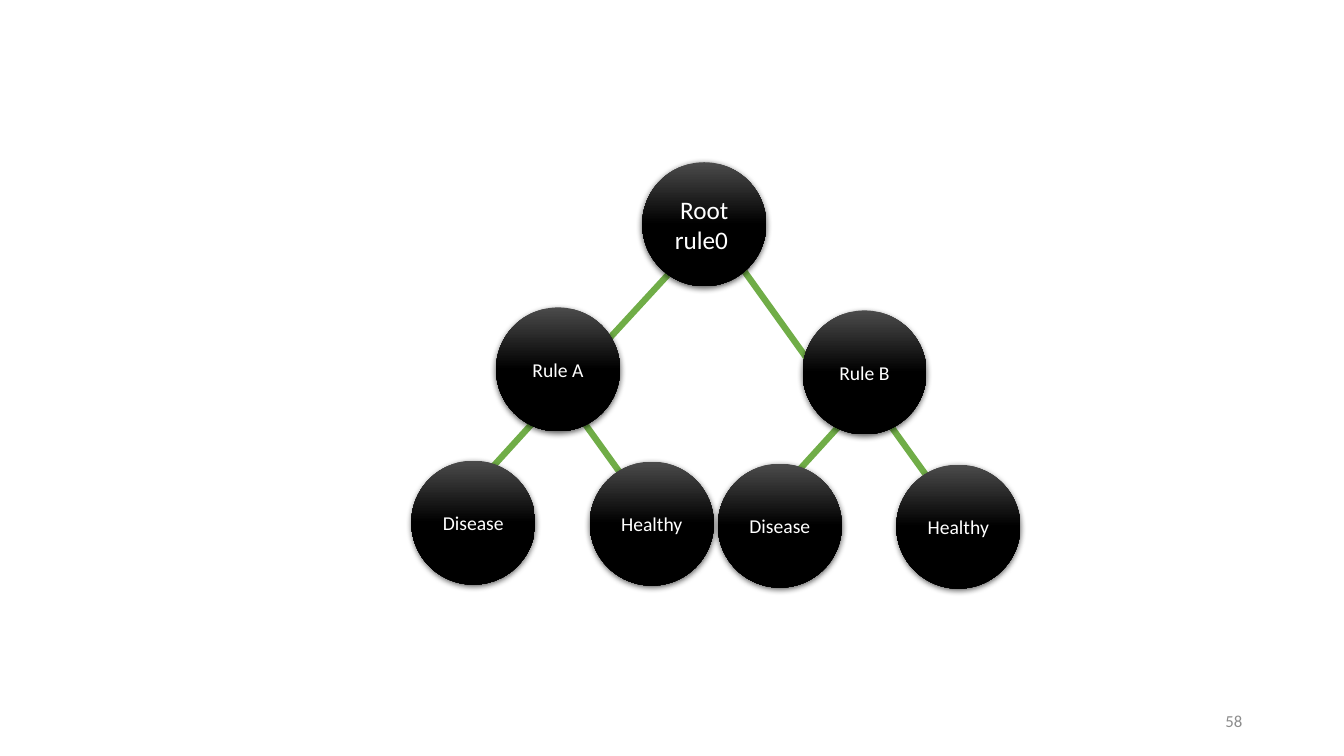
from dataclasses import dataclass

from lxml import etree
from pptx import Presentation
from pptx.dml.color import RGBColor
from pptx.enum import shapes, text
from pptx.oxml import ns
from pptx.util import Inches, Pt


@dataclass(frozen=True)
class Theme:
    font: str = "Calibri"
    node_top: RGBColor = RGBColor(0x4B, 0x4B, 0x4B)
    node: RGBColor = RGBColor(0, 0, 0)
    node_text: RGBColor = RGBColor(0xFF, 0xFF, 0xFF)
    branch: RGBColor = RGBColor(0x70, 0xAD, 0x47)
    number: RGBColor = RGBColor(0x8C, 0x8C, 0x8C)
    root_size: Pt = Pt(18)
    node_size: Pt = Pt(14)
    number_size: Pt = Pt(12)
    branch_width: Pt = Pt(4.5)


THEME = Theme()
DIAMETER = 1.23
ROOT = ("Root rule0 ", (6.37, 1.61))
RULES = [("Rule A", (4.92, 3.05)), ("Rule B", (7.96, 3.08))]
LEAVES = [("Healthy", (0.93, 1.53)), ("Disease", (-0.84, 1.52))]
ROOT_BRANCHES = [((0.84, 0.84), (1.65, 1.97)), ((0.61, 0.73), (-0.32, 1.74))]
RULE_BRANCHES = [((0.56, 0.93), (-0.36, 1.94)), ((0.64, 0.82), (1.46, 1.96))]
SLIDE_NUMBER = "58"


def shift(origin, offset):
    return origin[0] + offset[0], origin[1] + offset[1]


def write(shape, words, size, color, alignment):
    frame = shape.text_frame
    frame.word_wrap = True
    frame.vertical_anchor = text.MSO_ANCHOR.MIDDLE
    paragraph = frame.paragraphs[0]
    paragraph.text = words
    paragraph.alignment = alignment
    paragraph.font.name = THEME.font
    paragraph.font.size = size
    paragraph.font.color.rgb = color


def add_branches(slide, origin, branches):
    for start, end in branches:
        points = shift(origin, start) + shift(origin, end)
        branch = slide.shapes.add_connector(
            shapes.MSO_CONNECTOR.STRAIGHT, *map(Inches, points))
        branch.line.color.rgb = THEME.branch
        branch.line.width = THEME.branch_width
        etree.SubElement(branch._element.spPr, ns.qn("a:effectLst"))


def add_shadow(shape):
    shape.shadow.inherit = False
    effects = shape._element.spPr.find(ns.qn("a:effectLst"))
    shadow = etree.SubElement(
        effects, ns.qn("a:outerShdw"), blurRad=str(Pt(4.5)), dist=str(Pt(1.5)),
        dir="5400000", algn="ctr", rotWithShape="0")
    color = etree.SubElement(shadow, ns.qn("a:srgbClr"), val=str(THEME.node))
    etree.SubElement(color, ns.qn("a:alpha"), val="63000")


def add_node(slide, words, origin, size):
    node = slide.shapes.add_shape(
        shapes.MSO_SHAPE.OVAL, *map(Inches, (*origin, DIAMETER, DIAMETER)))
    node.fill.gradient()
    node.fill.gradient_angle = 270
    stops = zip(node.fill.gradient_stops, (0, 0.5), (THEME.node_top, THEME.node))
    for stop, position, color in stops:
        stop.position = position
        stop.color.rgb = color
    node.line.fill.background()
    add_shadow(node)
    write(node, words, size, THEME.node_text, text.PP_ALIGN.CENTER)


def main():
    presentation = Presentation()
    presentation.slide_width = Inches(13.33)
    presentation.slide_height = Inches(7.5)
    slide = presentation.slides.add_slide(presentation.slide_layouts[6])

    root_words, root_origin = ROOT
    add_branches(slide, root_origin, ROOT_BRANCHES)
    for _, origin in RULES:
        add_branches(slide, origin, RULE_BRANCHES)

    add_node(slide, root_words, root_origin, THEME.root_size)
    for words, origin in RULES:
        add_node(slide, words, origin, THEME.node_size)
        for leaf, offset in LEAVES:
            add_node(slide, leaf, shift(origin, offset), THEME.node_size)

    number = slide.shapes.add_textbox(*map(Inches, (9.42, 6.95, 3, 0.4)))
    write(number, SLIDE_NUMBER, THEME.number_size, THEME.number,
          text.PP_ALIGN.RIGHT)
    presentation.save("out.pptx")


if __name__ == "__main__":
    main()
